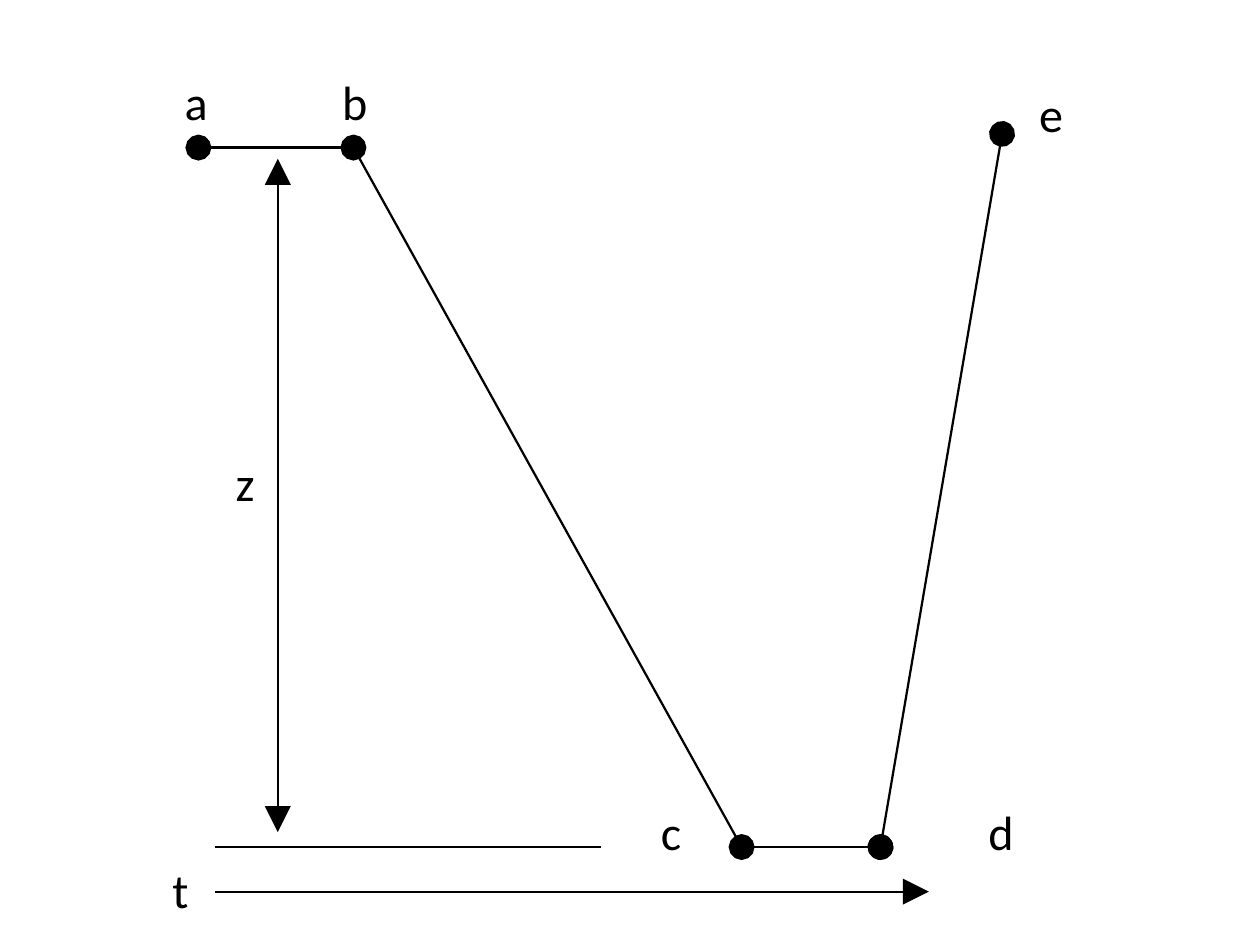
from lxml import etree
from pptx import Presentation
from pptx import util as u
from pptx.dml.color import RGBColor
from pptx.enum import shapes, text
from pptx.oxml.ns import qn


def rgb(hex_color):
    """Return the colour for a hex string."""
    return RGBColor.from_string(hex_color)


class Sketch:
    """Hold the style and the current slide."""

    def __init__(self, slide, font="Calibri", size=11, color="000000", weight=0.5):
        """Set the slide and its default style."""
        self.s = slide
        self.font, self.size = font, size
        self.color, self.weight = color, weight

    def line(self, start, end, head=None, tail=None):
        """Draw a line between two points in centimetres."""
        points = [u.Cm(v) for v in (*start, *end)]
        sp = self.s.shapes.add_connector(shapes.MSO_CONNECTOR.STRAIGHT, *points)
        sp.line.color.rgb = rgb(self.color)
        sp.line.width = u.Pt(self.weight)
        ln = sp.line._get_or_add_ln()
        for tag, kind in (("a:headEnd", head), ("a:tailEnd", tail)):
            if kind:
                etree.SubElement(ln, qn(tag), type=kind)
        etree.SubElement(sp._element.spPr, qn("a:effectLst"))

    def label(self, name, left, top, width):
        """Write a short label in a box that fits its text."""
        sp = self.s.shapes.add_textbox(*(u.Cm(v) for v in (left, top, width, 0.74)))
        tf = sp.text_frame
        tf.word_wrap = False
        tf.auto_size = text.MSO_AUTO_SIZE.SHAPE_TO_FIT_TEXT
        r = tf.paragraphs[0].add_run()
        r.text = name
        r.font.name, r.font.size = self.font, u.Pt(self.size)
        r.font.color.rgb = rgb(self.color)


def main():
    """Build the profile diagram and save it."""
    prs = Presentation()
    prs.slide_width, prs.slide_height = u.Cm(10.16), u.Cm(7.62)
    sketch = Sketch(prs.slides.add_slide(prs.slide_layouts[6]))

    bottom, axis_left, axis_y, depth_x = 6.83, 1.73, 7.19, 2.24
    a, b = (1.6, 1.19), (2.85, 1.19)
    c, d, e = (5.98, bottom), (7.1, bottom), (8.08, 1.08)

    for start, end, dot in ((a, b, "oval"), (b, c, None), (c, d, "oval"), (d, e, "oval")):
        sketch.line(start, end, dot, dot)
    sketch.line((axis_left, bottom), (4.85, bottom))
    sketch.line((depth_x, 1.28), (depth_x, 6.71), "triangle", "triangle")
    sketch.line((axis_left, axis_y), (7.49, axis_y), tail="triangle")

    for name, left, top, width in (
        ("a", 1.24, 0.46, 0.71),
        ("b", 2.51, 0.46, 0.71),
        ("c", 5.08, 6.35, 0.69),
        ("d", 7.72, 6.35, 0.71),
        ("e", 8.13, 0.56, 0.71),
        ("z", 1.65, 3.53, 0.66),
        ("t", 1.14, 6.81, 0.64),
    ):
        sketch.label(name, left, top, width)
    prs.save("out.pptx")


main()
